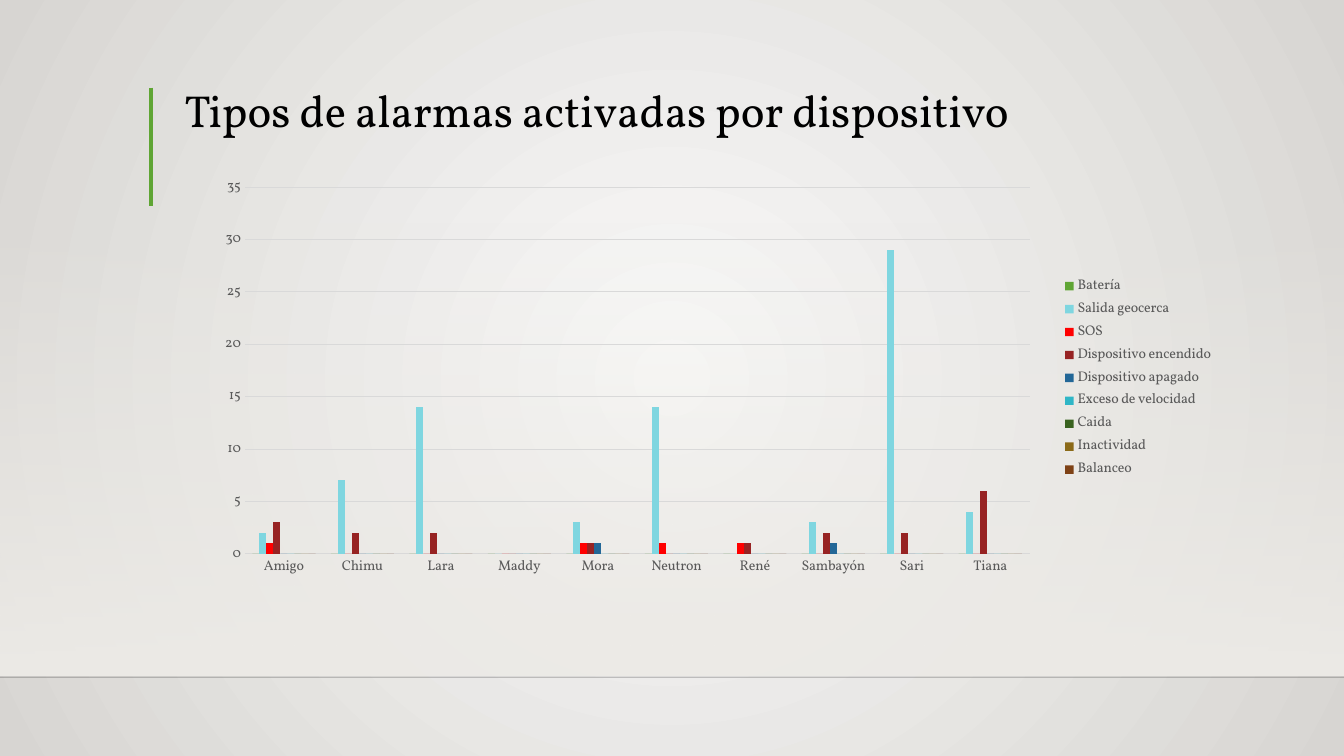
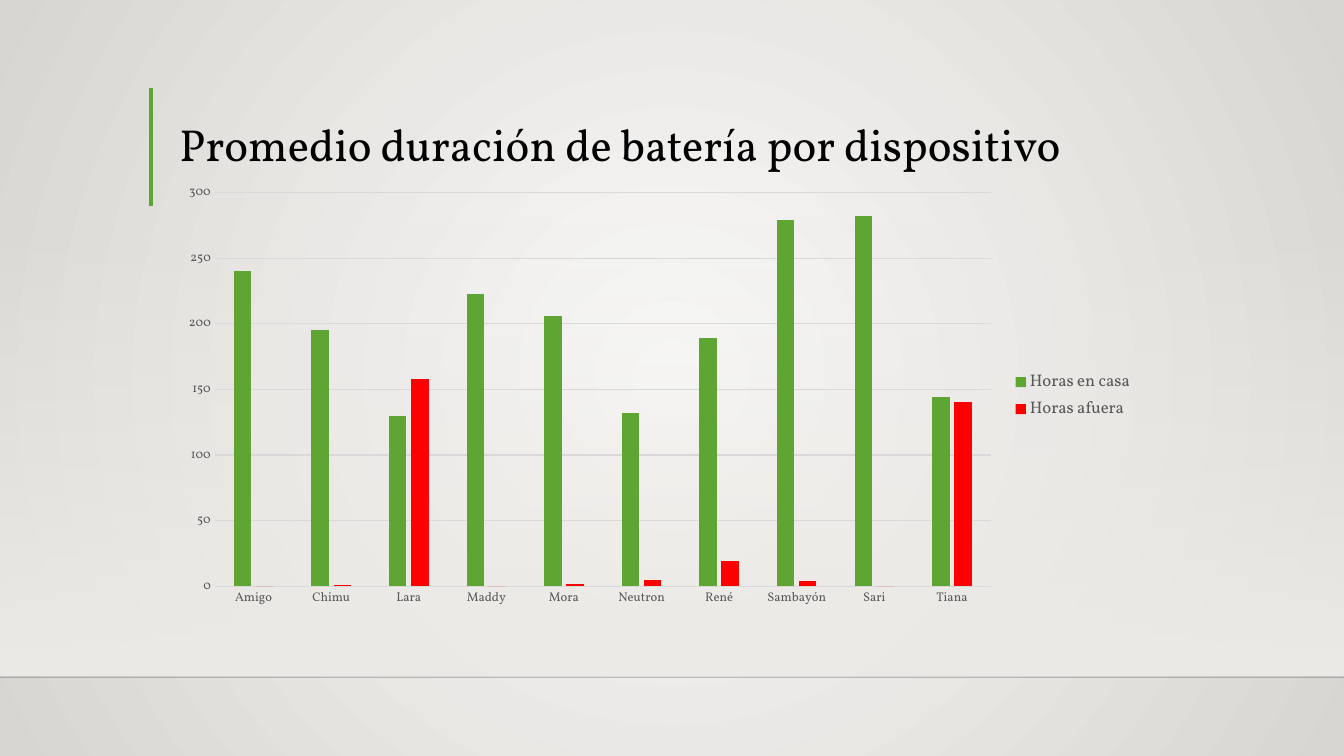
from lxml import etree
from pptx import Presentation
from pptx import util as u
from pptx.chart import data as chart_data
from pptx.dml.color import RGBColor
from pptx.enum import chart as ch
from pptx.enum import shapes, text
from pptx.oxml import ns

Pt = u.Pt
FONT = "Vollkorn"
WIDTH, HEIGHT = 960, 540
BLACK = RGBColor(0x00, 0x00, 0x00)
GRAY = RGBColor(0x59, 0x59, 0x59)
GRID = RGBColor(0xD9, 0xD9, 0xD9)
CENTER = RGBColor(0xFA, 0xFA, 0xF9)
EDGE = RGBColor(0xD7, 0xD5, 0xD2)
BAND = RGBColor(0xED, 0xEB, 0xE7)
RULE = RGBColor(0x00, 0x00, 0x01)
GREEN = RGBColor(0x5F, 0xA5, 0x34)
AQUA = RGBColor(0x7F, 0xD6, 0xE0)
RED = RGBColor(0xFF, 0x00, 0x00)
MAROON = RGBColor(0x97, 0x23, 0x23)
BLUE = RGBColor(0x23, 0x67, 0x97)
TEAL = RGBColor(0x2F, 0xB6, 0xC6)
FOREST = RGBColor(0x39, 0x63, 0x1F)
OCHRE = RGBColor(0x8B, 0x6A, 0x18)
BROWN = RGBColor(0x7E, 0x41, 0x15)

DEVICES = ["Amigo", "Chimu", "Lara", "Maddy", "Mora",
           "Neutron", "René", "Sambayón", "Sari", "Tiana"]
NONE = [0] * len(DEVICES)
ALARMS = [
    ("Batería", NONE, GREEN),
    ("Salida geocerca", [2, 7, 14, 0, 3, 14, 0, 3, 29, 4], AQUA),
    ("SOS", [1, 0, 0, 0, 1, 1, 1, 0, 0, 0], RED),
    ("Dispositivo encendido", [3, 2, 2, 0, 1, 0, 1, 2, 2, 6], MAROON),
    ("Dispositivo apagado", [0, 0, 0, 0, 1, 0, 0, 1, 0, 0], BLUE),
    ("Exceso de velocidad", NONE, TEAL),
    ("Caida", NONE, FOREST),
    ("Inactividad", NONE, OCHRE),
    ("Balanceo", NONE, BROWN),
]
BATTERY_HOURS = [
    ("Horas en casa", [240, 195, 130, 223, 206, 132, 189, 279, 282, 144], GREEN),
    ("Horas afuera", [0, 1, 158, 0, 2, 5, 19, 4, 0, 140], RED),
]


def set_values(target, values):
    for name, value in values.items():
        setattr(target, name, value)


def set_font(font, size, color):
    set_values(font, {"name": FONT, "size": Pt(size)})
    font.color.rgb = color


def add_child(parent, tag, **attributes):
    return etree.SubElement(parent, ns.qn(tag), attributes)


def set_alpha(element, percent):
    add_child(element, "a:alpha", val=str(percent * 1000))


def set_gradient(fill, colors):
    fill.gradient()
    for stop, color in zip(fill.gradient_stops, colors):
        stop.color.rgb = color


def set_background(layout):
    set_gradient(layout.background.fill, (CENTER, EDGE))
    gradient = layout.element.find(".//" + ns.qn("a:gradFill"))
    gradient.remove(gradient.find(ns.qn("a:lin")))
    circle = add_child(gradient, "a:path", path="circle")
    add_child(circle, "a:fillToRect", l="50000", t="50000", r="50000", b="50000")


def add_band(slide, top, height):
    band = slide.shapes.add_shape(
        shapes.MSO_SHAPE.RECTANGLE, 0, Pt(top), Pt(WIDTH), Pt(height))
    band.shadow.inherit = False
    band.line.fill.background()
    set_gradient(band.fill, (BAND, BAND))
    band.fill.gradient_angle = 270
    set_alpha(band.element.find(".//" + ns.qn("a:srgbClr")), 0)
    return band


def add_line(slide, start, end, color, width, alpha=100):
    line = slide.shapes.add_connector(
        shapes.MSO_CONNECTOR.STRAIGHT, *(Pt(value) for value in start + end))
    line.line.width = Pt(width)
    line.line.color.rgb = color
    if alpha < 100:
        set_alpha(line.element.find(".//" + ns.qn("a:srgbClr")), alpha)
    add_child(line.element.find(ns.qn("p:spPr")), "a:effectLst")
    return line


def move_to_layout(layout, items):
    for item in items:
        layout.shapes.element.append(item.element)


def set_title(slide, wording, left, top):
    title = slide.shapes.title
    set_values(title, {"left": Pt(left), "top": Pt(top),
                       "width": Pt(749.5), "height": Pt(82.8)})
    frame = title.text_frame
    frame.text = wording
    set_values(frame, {"vertical_anchor": text.MSO_ANCHOR.BOTTOM,
                       "word_wrap": True})
    paragraph = frame.paragraphs[0]
    set_values(paragraph, {"alignment": text.PP_ALIGN.LEFT, "line_spacing": 0.9})
    set_font(paragraph.runs[0].font, 32, BLACK)


def set_plot_area(chart, **box):
    area = chart.element.find(".//" + ns.qn("c:plotArea"))
    for old in area.findall(ns.qn("c:layout")):
        area.remove(old)
    layout = etree.Element(ns.qn("c:layout"))
    area.insert(0, layout)
    manual = add_child(layout, "c:manualLayout")
    add_child(manual, "c:layoutTarget", val="inner")
    for mode in ("xMode", "yMode"):
        add_child(manual, "c:" + mode, val="edge")
    for name, value in box.items():
        add_child(manual, "c:" + name, val=str(value))


def format_axis(axis, size):
    set_values(axis, {"major_tick_mark": ch.XL_TICK_MARK.NONE,
                      "minor_tick_mark": ch.XL_TICK_MARK.NONE})
    set_font(axis.tick_labels.font, size, GRAY)


def set_line(line):
    line.width = Pt(0.75)
    line.color.rgb = GRID


def add_columns(slide, box, series, axis_size, legend_size, overlap=0):
    source = chart_data.CategoryChartData()
    source.categories = DEVICES
    for name, values, _ in series:
        source.add_series(name, values)
    chart = slide.shapes.add_chart(
        ch.XL_CHART_TYPE.COLUMN_CLUSTERED, *(Pt(value) for value in box), source).chart
    set_values(chart, {"has_title": False, "has_legend": True})
    set_font(chart.font, 10, BLACK)
    set_values(chart.legend, {"position": ch.XL_LEGEND_POSITION.RIGHT,
                              "include_in_layout": False})
    set_font(chart.legend.font, legend_size, GRAY)

    for axis in (chart.category_axis, chart.value_axis):
        format_axis(axis, axis_size)
    set_line(chart.category_axis.format.line)
    chart.value_axis.format.line.fill.background()
    set_line(chart.value_axis.major_gridlines.format.line)

    plot = chart.plots[0]
    set_values(plot, {"gap_width": 219, "overlap": overlap,
                      "vary_by_categories": False})
    for column, (_, _, color) in zip(plot.series, series):
        column.format.fill.solid()
        column.format.fill.fore_color.rgb = color
    return chart


def main():
    presentation = Presentation()
    set_values(presentation, {"slide_width": Pt(WIDTH), "slide_height": Pt(HEIGHT)})
    layout = presentation.slide_layouts.get_by_name("Title Only")
    alarms, battery = (presentation.slides.add_slide(layout) for _ in range(2))

    set_background(layout)
    move_to_layout(layout, [
        add_band(alarms, 158.4, 324),
        add_line(alarms, (0, 483.8), (WIDTH, 483.8), RULE, 1, 20),
        add_line(alarms, (108, 62.6), (108, 146.9), GREEN, 3),
    ])

    set_title(alarms, "Tipos de alarmas activadas por dispositivo", 124.6, 18.7)
    chart = add_columns(alarms, (124.6, 123.8, 749.5, 292.3), ALARMS, 10, 10)
    set_plot_area(chart, x=0.067, y=0.034, w=0.748, h=0.896)

    set_title(battery, "Promedio duración de batería por dispositivo", 121, 43.2)
    add_columns(battery, (121, 125.3, 696.2, 314.6), BATTERY_HOURS, 9, 12, -27)

    presentation.save("out.pptx")


main()
